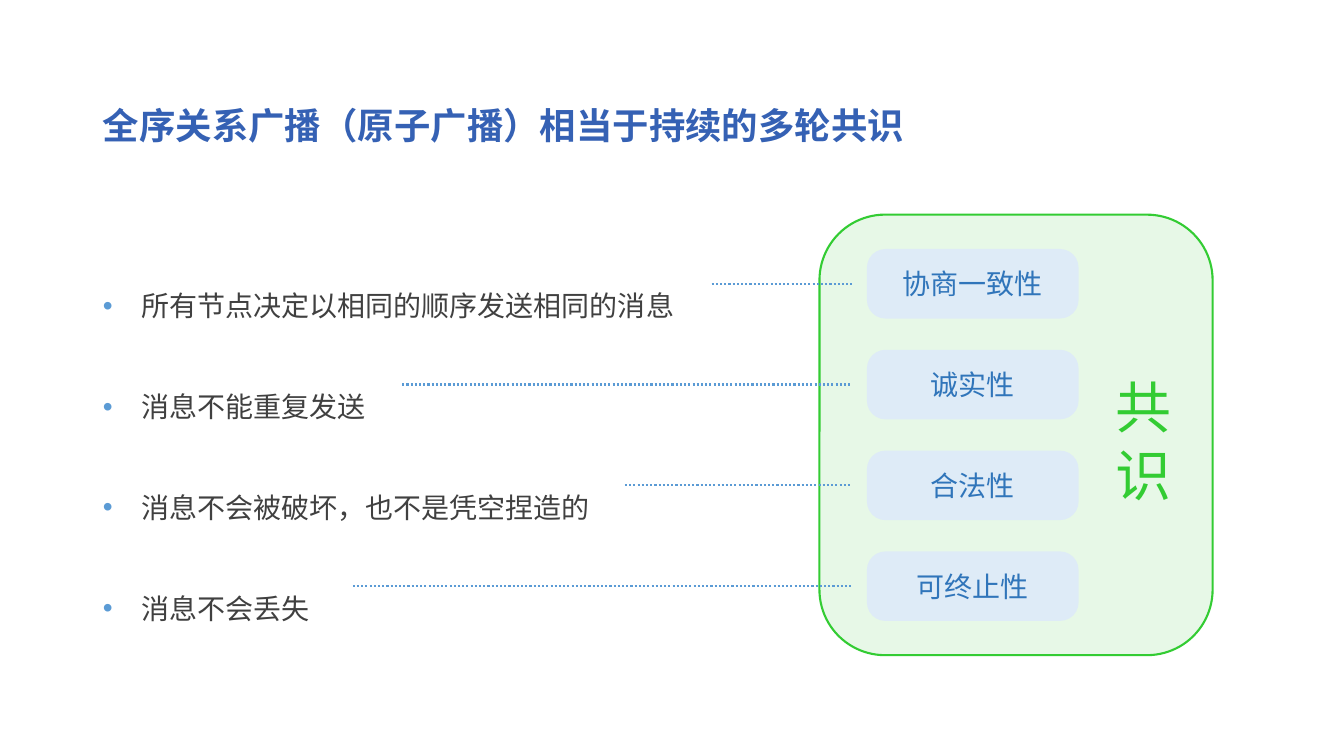
from lxml import etree
from pptx import Presentation
from pptx.dml.color import RGBColor
from pptx.enum.dml import MSO_LINE
from pptx.enum.shapes import MSO_CONNECTOR, MSO_SHAPE
from pptx.enum.text import MSO_ANCHOR, MSO_AUTO_SIZE, PP_ALIGN
from pptx.oxml.ns import qn
from pptx.util import Inches, Pt

ROUNDED = MSO_SHAPE.ROUNDED_RECTANGLE
STRAIGHT = MSO_CONNECTOR.STRAIGHT
DOTTED = MSO_LINE.ROUND_DOT
NO_FIT = MSO_AUTO_SIZE.NONE
TOP, MIDDLE = MSO_ANCHOR.TOP, MSO_ANCHOR.MIDDLE
LEFT, CENTER = PP_ALIGN.LEFT, PP_ALIGN.CENTER

FONT = "Noto Sans CJK SC"
COLORS = {
    "title": "3561B4",
    "text": "404040",
    "accent": "5B9BD5",
    "badge": "DEEBF7",
    "badge_text": "3075BA",
    "panel": "C7F0C6",
    "consensus": "33CC33",
}
COLUMNS, ROWS = 40, 15
PROPERTIES = [
    ("所有节点决定以相同的顺序发送相同的消息", "协商一致性", 21.18),
    ("消息不能重复发送", "诚实性", 11.97),
    ("消息不会被破坏，也不是凭空捏造的", "合法性", 18.6),
    ("消息不会丢失", "可终止性", 10.5),
]
FIRST_ROW, ROW_STEP = 4.94, 2
BADGE_LEFT, BADGE_WIDTH, BADGE_HEIGHT = 25.8, 6.3, 1.38
LEADER_END = 25.35


class Deck:
    def __init__(self):
        self.presentation = Presentation()
        self.presentation.slide_width = Inches(13.33)
        self.presentation.slide_height = Inches(7.5)
        self.column = self.presentation.slide_width / COLUMNS
        self.row = self.presentation.slide_height / ROWS
        self.slide = self.presentation.slides.add_slide(self.presentation.slide_layouts[1])

    def place(self, left, top, width, height):
        return (round(left * self.column), round(top * self.row),
                round(width * self.column), round(height * self.row))

    def color(self, name):
        return RGBColor.from_string(COLORS[name])

    def set_lines(self, holder, lines, size, color, align=LEFT, anchor=TOP, bold=False, spacing=None):
        frame = holder.text_frame
        frame.text = "\n".join(lines)
        frame.auto_size = NO_FIT
        frame.vertical_anchor = anchor
        for paragraph in frame.paragraphs:
            paragraph.alignment = align
            paragraph.space_before = Pt(0)
            if spacing:
                paragraph.line_spacing = Pt(spacing)
            for run in paragraph.runs:
                run.font.size = Pt(size)
                run.font.bold = bold
                run.font.name = FONT
                run.font.color.rgb = self.color(color)
                east_asian = etree.SubElement(run.font._element, qn("a:ea"))
                east_asian.set("typeface", FONT)

    def move(self, holder, *area):
        holder.left, holder.top, holder.width, holder.height = self.place(*area)

    def title(self, heading, *area):
        holder = self.slide.shapes.title
        self.move(holder, *area)
        self.set_lines(holder, [heading], 26, "title", anchor=MIDDLE, bold=True)

    def bullets(self, statements, *area):
        holder = self.slide.placeholders[1]
        self.move(holder, *area)
        self.set_lines(holder, statements, 20, "text", spacing=72)
        for paragraph in holder.text_frame.paragraphs:
            properties = paragraph._p.get_or_add_pPr()
            properties.set("marL", str(Inches(0.38)))
            properties.set("indent", str(-Inches(0.38)))
            tint = etree.SubElement(properties, qn("a:buClr"))
            etree.SubElement(tint, qn("a:srgbClr")).set("val", COLORS["accent"])
            etree.SubElement(properties, qn("a:buFont")).set("typeface", "Arial")
            etree.SubElement(properties, qn("a:buChar")).set("char", "•")

    def rounded(self, fill, *area):
        box = self.slide.shapes.add_shape(ROUNDED, *self.place(*area))
        box.shadow.inherit = False
        box.fill.solid()
        box.fill.fore_color.rgb = self.color(fill)
        return box

    def panel(self, *area):
        frame = self.rounded("panel", *area)
        tint = frame._element.spPr.find(qn("a:solidFill"))[0]
        etree.SubElement(tint, qn("a:alpha")).set("val", "41000")
        frame.line.color.rgb = self.color("consensus")
        frame.line.width = Pt(1.5)

    def badge(self, label, *area):
        box = self.rounded("badge", *area)
        box.adjustments[0] = 0.267
        box.line.fill.background()
        self.set_lines(box, [label], 20, "badge_text", CENTER, MIDDLE)

    def vertical_label(self, characters, *area):
        label = self.slide.shapes.add_textbox(*self.place(*area))
        label.text_frame.word_wrap = False
        self.set_lines(label, characters, 40, "consensus", spacing=48)

    def leader(self, start, end, row):
        left, top, width, _ = self.place(start, row, end - start, 0)
        dots = self.slide.shapes.add_connector(STRAIGHT, left, top, left + width, top)
        dots.line.color.rgb = self.color("accent")
        dots.line.width = Pt(1.5)
        dots.line.dash_style = DOTTED
        etree.SubElement(dots._element.spPr, qn("a:effectLst"))


def main():
    deck = Deck()
    deck.title("全序关系广播（原子广播）相当于持续的多轮共识", 2.76, 1.94, 32.46, 1.08)
    deck.bullets([statement for statement, _, _ in PROPERTIES], 2.76, 4.3, 18.39, 8.28)
    deck.panel(24.39, 4.26, 11.7, 8.74)
    deck.vertical_label("共识", 32.91, 7.3, 2.28, 2.9)
    for index, (_, guarantee, leader_start) in enumerate(PROPERTIES):
        row = FIRST_ROW + index * ROW_STEP
        deck.badge(guarantee, BADGE_LEFT, row, BADGE_WIDTH, BADGE_HEIGHT)
        deck.leader(leader_start, LEADER_END, row + BADGE_HEIGHT / 2)
    deck.presentation.save("out.pptx")


if __name__ == "__main__":
    main()
